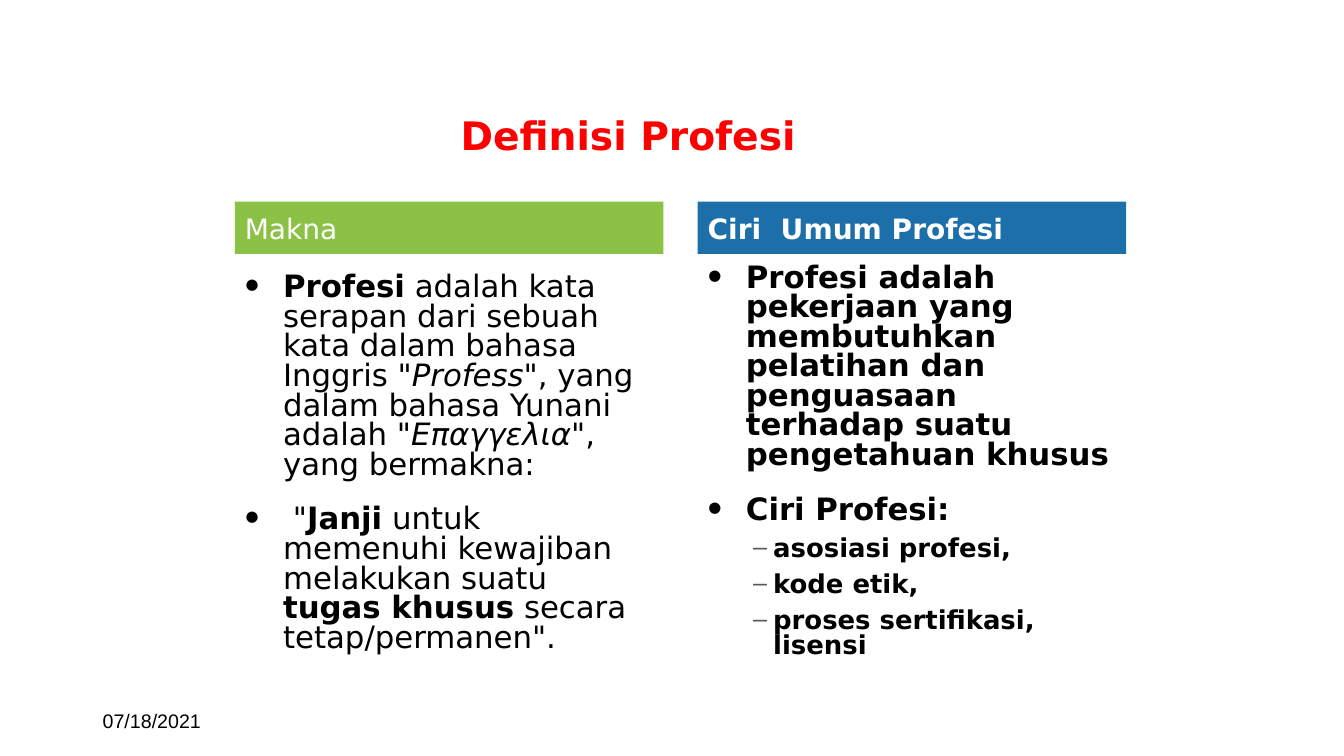
from lxml import etree
from pptx import Presentation
from pptx import util as u
from pptx.dml.color import RGBColor
from pptx.enum import shapes, text
from pptx.oxml import ns

BLACK = RGBColor(0x00, 0x00, 0x00)
WHITE = RGBColor(0xFF, 0xFF, 0xFF)
RED = RGBColor(0xFF, 0x00, 0x00)
GREEN = RGBColor(0x8B, 0xC1, 0x45)
BLUE = RGBColor(0x1D, 0x6F, 0xA9)
GREY = RGBColor(0x59, 0x59, 0x59)

COLUMN_WIDTH = 4.25
LEFT_COLUMN, RIGHT_COLUMN = 2.33, 6.92
BODY_BOTTOM = 6.59


class SlideBuilder:
    """Adds styled headings, bars and bullet lists to one slide."""

    font = "DejaVu Sans"
    levels = (
        dict(size=22, margin=0.38, hanging=0.38, before=18, mark="•", color=BLACK, percent=135),
        dict(size=18.5, margin=0.65, hanging=0.2, before=8, mark="–", color=GREY, percent=97),
    )

    def __init__(self, slide):
        self.slide = slide

    def frame(self, shape, anchor):
        frame = shape.text_frame
        frame.word_wrap = True
        frame.auto_size = text.MSO_AUTO_SIZE.NONE
        frame.vertical_anchor = anchor
        return frame

    def format(self, run, size, color=BLACK, style="", font=None):
        run.font.name = font or self.font
        run.font.size = u.Pt(size)
        run.font.color.rgb = color
        run.font.bold = "b" in style
        run.font.italic = "i" in style

    def line(self, shape, wording, size, color, style="", font=None):
        frame = self.frame(shape, text.MSO_ANCHOR.MIDDLE)
        frame.text = wording
        paragraph = frame.paragraphs[0]
        paragraph.alignment = text.PP_ALIGN.LEFT
        self.format(paragraph.runs[0], size, color, style, font)

    def box(self, left, top, width, height):
        return self.slide.shapes.add_textbox(*map(u.Inches, (left, top, width, height)))

    def label(self, area, wording, size, color, style="", font=None):
        self.line(self.box(*area), wording, size, color, style, font)

    def bar(self, left, wording, fill, style=""):
        area = map(u.Inches, (left, 2, COLUMN_WIDTH, 0.52))
        shape = self.slide.shapes.add_shape(shapes.MSO_SHAPE.RECTANGLE, *area)
        shape.shadow.inherit = False
        shape.fill.solid()
        shape.fill.fore_color.rgb = fill
        shape.line.fill.background()
        self.line(shape, wording, 20, WHITE, style)

    def bullet(self, paragraph, level):
        properties = paragraph._p.get_or_add_pPr()
        properties.set("marL", str(u.Inches(level["margin"])))
        properties.set("indent", str(-u.Inches(level["hanging"])))
        color = etree.SubElement(properties, ns.qn("a:buClr"))
        etree.SubElement(color, ns.qn("a:srgbClr"), val=str(level["color"]))
        etree.SubElement(properties, ns.qn("a:buSzPct"), val=str(level["percent"] * 1000))
        etree.SubElement(properties, ns.qn("a:buFont"), typeface="Arial")
        etree.SubElement(properties, ns.qn("a:buChar"), char=level["mark"])

    def bullets(self, left, top, items, anchor):
        shape = self.box(left, top, COLUMN_WIDTH, BODY_BOTTOM - top)
        frame = self.frame(shape, anchor)
        for index, (depth, parts) in enumerate(items):
            level = self.levels[depth]
            paragraph = frame.add_paragraph() if index else frame.paragraphs[0]
            paragraph.level = depth
            paragraph.line_spacing = 0.8
            paragraph.space_before = u.Pt(level["before"] if index else 0)
            self.bullet(paragraph, level)
            for wording, style in parts:
                run = paragraph.add_run()
                run.text = wording
                self.format(run, level["size"], style=style)


MEANING = [
    (0, [
        ("Profesi", "b"),
        (" adalah kata serapan dari sebuah kata dalam bahasa Inggris ", ""),
        ('"Profess"', "i"),
        (", yang dalam bahasa Yunani adalah ", ""),
        ('"Επαγγελια"', "i"),
        (", yang bermakna:", ""),
    ]),
    (0, [
        (' "', ""),
        ("Janji", "b"),
        (" untuk memenuhi kewajiban melakukan suatu ", ""),
        ("tugas khusus", "b"),
        (' secara tetap/permanen".', ""),
    ]),
]
TRAITS = [
    (depth, [(wording, "b")])
    for depth, wording in (
        (0, "Profesi adalah pekerjaan yang membutuhkan pelatihan dan "
            "penguasaan terhadap suatu pengetahuan khusus"),
        (0, "Ciri Profesi:"),
        (1, "asosiasi profesi, "),
        (1, "kode etik, "),
        (1, "proses sertifikasi, lisensi"),
    )
]

presentation = Presentation()
presentation.slide_width = u.Inches(13.33)
presentation.slide_height = u.Inches(7.5)
builder = SlideBuilder(presentation.slides.add_slide(presentation.slide_layouts[6]))

builder.label((4.47, 1.07, 5.45, 0.53), "Definisi Profesi", 28, RED, "b")
builder.bullets(LEFT_COLUMN, 2.67, MEANING, text.MSO_ANCHOR.TOP)
builder.bar(LEFT_COLUMN, "Makna", GREEN)
builder.bullets(RIGHT_COLUMN, 2.53, TRAITS, text.MSO_ANCHOR.BOTTOM)
builder.bar(RIGHT_COLUMN, "Ciri  Umum Profesi", BLUE, "b")
builder.label((0.92, 6.95, 3, 0.4), "07/18/2021", 14, BLACK, font="Arial")

presentation.save("out.pptx")
